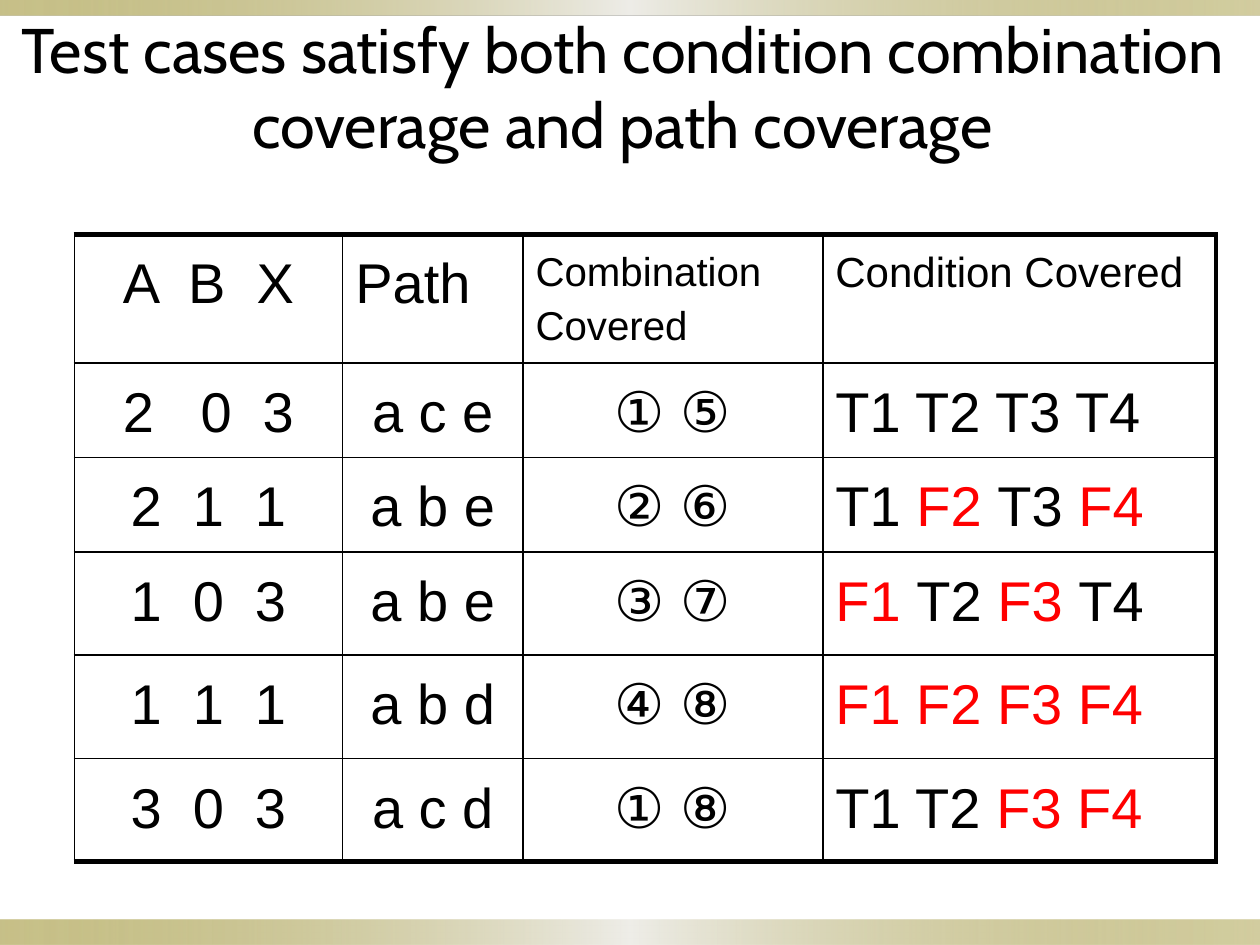
import itertools

import pptx
import pptx.dml.color
import pptx.enum.shapes
import pptx.enum.text
import pptx.oxml
import pptx.oxml.ns
import pptx.util

Inches, Pt = pptx.util.Inches, pptx.util.Pt
ALIGN = pptx.enum.text.PP_ALIGN
COLORS = {"text": "000000", "false": "FF0000", "edge": "918415", "mid": "EEEDE8"}

HEAD = ["A  B  X", "Path", "Combination Covered", "Condition Covered"]
HEAD_SIZES = [32, 32, 23, 24]
CASES = [
    ["2   0  3", "a c e", "① ⑤", "T1 T2 T3 T4"],
    ["2  1  1", "a b e", "② ⑥", "T1 F2 T3 F4"],
    ["1  0  3", "a b e", "③ ⑦", "F1 T2 F3 T4"],
    ["1  1  1", "a b d", "④ ⑧", "F1 F2 F3 F4"],
    ["3  0  3", "a c d", "① ⑧", "T1 T2 F3 F4"],
]
COLS = [2.13, 1.43, 2.38, 3.12]
ROWS = [1.02, 0.75, 0.75, 0.82, 0.82, 0.82]


def put(item, vals):
    for name, val in vals.items():
        setattr(item, name, val)


def add_run(para, text, font, size, color="text"):
    run = para.add_run()
    run.text = text
    put(run.font, {"name": font, "size": Pt(size)})
    run.font.color.rgb = pptx.dml.color.RGBColor.from_string(COLORS[color])


def add_band(slide, top, height):
    """Full-width strip that fades to a pale middle."""
    band = slide.shapes.add_shape(
        pptx.enum.shapes.MSO_SHAPE.RECTANGLE, 0, Inches(top), Inches(10), Inches(height))
    band.shadow.inherit = False
    band.line.fill.background()
    band.fill.gradient()
    band.fill.gradient_angle = 0
    stops = band.element.spPr.find(".//" + pptx.oxml.ns.qn("a:gsLst"))
    stops.clear()
    for pos, color, alpha in [(0, "edge", 50), (50, "mid", 100), (100, "edge", 40)]:
        stops.append(pptx.oxml.parse_xml(
            f'<a:gs {pptx.oxml.ns.nsdecls("a")} pos="{pos * 1000}">'
            f'<a:srgbClr val="{COLORS[color]}"><a:alpha val="{alpha * 1000}"/>'
            '</a:srgbClr></a:gs>'))


def add_title(slide, text):
    box = slide.shapes.add_textbox(0, Inches(0.21), Inches(9.88), Inches(0.94))
    put(box.text_frame, {
        "word_wrap": True,
        "vertical_anchor": pptx.enum.text.MSO_ANCHOR.MIDDLE,
    })
    para = box.text_frame.paragraphs[0]
    para.alignment = ALIGN.CENTER
    add_run(para, text, "Cabin", 36)


def set_edges(cell, widths):
    props = cell._tc.get_or_add_tcPr()
    for side, width in widths.items():
        props.append(pptx.oxml.parse_xml(
            f'<a:ln{side} {pptx.oxml.ns.nsdecls("a")} w="{Pt(width)}"><a:solidFill>'
            f'<a:srgbClr val="{COLORS["text"]}"/></a:solidFill></a:ln{side}>'))


def fill_cell(cell, text, size, align):
    """Write the text, with false conditions (F1 to F4) in red."""
    para = cell.text_frame.paragraphs[0]
    put(para, {"alignment": align, "line_spacing": 1.2})
    parts = [(color, " ".join(words)) for color, words in itertools.groupby(
        text.split(" "), lambda word: "false" if word[:1] == "F" else "text")]
    for i, (color, part) in enumerate(parts):
        gap = " " if i < len(parts) - 1 else ""
        add_run(para, part + gap, "Arial", size, color)


def add_grid(slide):
    frame = slide.shapes.add_table(
        len(ROWS), len(COLS), Inches(0.59), Inches(1.86),
        Inches(sum(COLS)), Inches(sum(ROWS)))
    table = frame.table
    put(table, {"first_row": False, "horz_banding": False})
    for col, width in zip(table.columns, COLS):
        col.width = Inches(width)
    for row, height in zip(table.rows, ROWS):
        row.height = Inches(height)

    for r, texts in enumerate([HEAD] + CASES):
        for c, text in enumerate(texts):
            cell = table.cell(r, c)
            # Heavy outer rule on the top, right and bottom
            set_edges(cell, {
                "L": 1,
                "R": 3 if c == len(COLS) - 1 else 1,
                "T": 3 if r == 0 else 1,
                "B": 3 if r == len(ROWS) - 1 else 1,
            })
            cell.fill.background()
            left = c == 3 or (r == 0 and c > 0)
            fill_cell(cell, text, 32 if r else HEAD_SIZES[c],
                      ALIGN.LEFT if left else ALIGN.CENTER)


def main():
    deck = pptx.Presentation()
    put(deck, {"slide_width": Inches(10), "slide_height": Inches(7.5)})
    slide = deck.slides.add_slide(deck.slide_layouts[6])
    # Bottom and top strips
    add_band(slide, 7.3, 0.2)
    add_band(slide, 0, 0.12)
    # Title and test cases
    add_title(slide, "Test cases satisfy both condition combination coverage and path coverage")
    add_grid(slide)
    deck.save("out.pptx")


if __name__ == "__main__":
    main()
